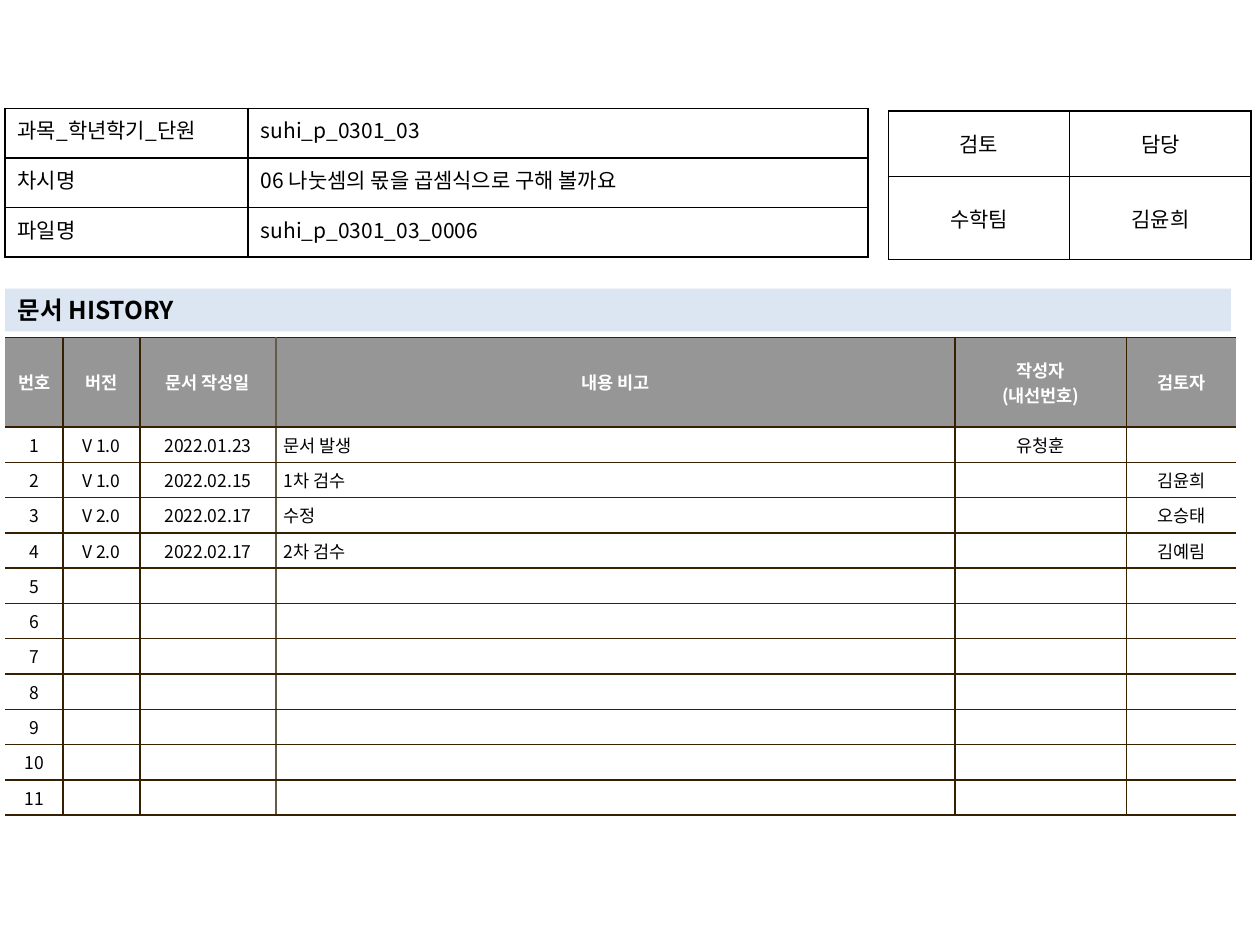
from dataclasses import dataclass

from lxml import etree
from pptx import Presentation
from pptx.dml.color import RGBColor
from pptx.enum.text import MSO_ANCHOR, MSO_AUTO_SIZE, PP_ALIGN
from pptx.oxml.ns import qn
from pptx.slide import Slide
from pptx.util import Inches, Pt

LEFT, CENTER, JUSTIFY = PP_ALIGN.LEFT, PP_ALIGN.CENTER, PP_ALIGN.JUSTIFY
TOP, MIDDLE = MSO_ANCHOR.TOP, MSO_ANCHOR.MIDDLE
NO_FIT = MSO_AUTO_SIZE.NONE

BLACK = RGBColor(0x00, 0x00, 0x00)
WHITE = RGBColor(0xFF, 0xFF, 0xFF)
GRAY = RGBColor(0x96, 0x96, 0x96)
PALE_BLUE = RGBColor(0xDC, 0xE6, 0xF2)
BROWN = RGBColor(0x36, 0x20, 0x00)
TAUPE = RGBColor(0x64, 0x5B, 0x4C)

SLIDE_WIDTH, SLIDE_HEIGHT = Inches(10), Inches(7.5)
GRID_COLUMNS, GRID_ROWS = 100, 75
TITLE_ONLY = 5

INFO = [
    ["과목_학년학기_단원", "suhi_p_0301_03"],
    ["차시명", "06 나눗셈의 몫을 곱셈식으로 구해 볼까요"],
    ["파일명", "suhi_p_0301_03_0006"],
]
APPROVAL = [["검토", "담당"], ["수학팀", "김윤희"]]
HISTORY_HEADER = ["번호", "버전", "문서 작성일", "내용 비고", "작성자\n(내선번호)", "검토자"]
HISTORY_ENTRIES = [
    ["V 1.0", "2022.01.23", "문서 발생", "유청훈", ""],
    ["V 1.0", "2022.02.15", "1차 검수", "", "김윤희"],
    ["V 2.0", "2022.02.17", "수정", "", "오승태"],
    ["V 2.0", "2022.02.17", "2차 검수", "", "김예림"],
]
HISTORY_LENGTH = 11


def set_attributes(target, values):
    """Set every attribute named in a dict of format values."""
    for name, value in values.items():
        setattr(target, name, value)


@dataclass
class Page:
    """Hold the style and the current slide, measured on a grid."""

    slide: Slide
    font: str = "Noto Sans CJK KR"

    def across(self, columns):
        """Turn grid columns into a length."""
        return round(SLIDE_WIDTH * columns / GRID_COLUMNS)

    def down(self, rows):
        """Turn grid rows into a length."""
        return round(SLIDE_HEIGHT * rows / GRID_ROWS)

    def fill_text(self, frame, text, size, color=BLACK, bold=False, align=LEFT):
        """Fill a text frame with formatted paragraphs."""
        frame.text = text
        for para in frame.paragraphs:
            para.alignment = align
            for span in para.runs:
                set_attributes(span.font, {"name": self.font, "size": Pt(size), "bold": bold})
                span.font.color.rgb = color
                etree.SubElement(span.font._element, qn("a:ea"), typeface=self.font)
            if not para.runs:
                etree.SubElement(para._p, qn("a:endParaRPr"), sz=str(size * 100))

    def title(self, text, left, top, width, height):
        """Place the slide title as a filled bar."""
        box = self.slide.shapes.title
        set_attributes(box, {
            "left": self.across(left), "top": self.down(top),
            "width": self.across(width), "height": self.down(height),
        })
        box.fill.solid()
        box.fill.fore_color.rgb = PALE_BLUE
        set_attributes(box.text_frame, {"auto_size": NO_FIT, "vertical_anchor": MIDDLE})
        self.fill_text(box.text_frame, text, 14, bold=True)

    def table(self, left, top, widths, heights):
        """Add a plain table with the given column widths and row heights."""
        frame = self.slide.shapes.add_table(
            len(heights), len(widths), self.across(left), self.down(top),
            self.across(sum(widths)), self.down(sum(heights)))
        table = frame.table
        set_attributes(table, {"first_row": False, "horz_banding": False})
        for column, width in zip(table.columns, widths):
            column.width = self.across(width)
        for row, height in zip(table.rows, heights):
            row.height = self.down(height)
        return table

    def cell(self, cell, text, borders, fill=None, margins=(0.1, 0.05), anchor=MIDDLE, **style):
        """Format one cell; borders run left, right, top, bottom."""
        side, edge = map(Inches, margins)
        set_attributes(cell, {
            "margin_left": side, "margin_right": side, "margin_top": edge,
            "margin_bottom": edge, "vertical_anchor": anchor,
        })
        self.fill_text(cell.text_frame, text, **style)
        properties = cell._tc.get_or_add_tcPr()
        for name, color in zip("LRTB", borders):
            line = etree.SubElement(properties, qn(f"a:ln{name}"), w=str(Pt(1)))
            if color is None:
                etree.SubElement(line, qn("a:noFill"))
            else:
                paint = etree.SubElement(line, qn("a:solidFill"))
                etree.SubElement(paint, qn("a:srgbClr"), val=str(color))
        if fill is None:
            cell.fill.background()
        else:
            cell.fill.solid()
            cell.fill.fore_color.rgb = fill

    def boxed_table(self, left, top, widths, heights, content, aligns, anchor):
        """Add a table with black borders on every side."""
        table = self.table(left, top, widths, heights)
        for row, texts in enumerate(content):
            for column, text in enumerate(texts):
                self.cell(table.cell(row, column), text, [BLACK] * 4,
                          anchor=anchor, size=12, align=aligns[column])

    def history_table(self, left, top, widths, header_height, row_height):
        """Add the numbered document history, open at its left and right."""
        table = self.table(left, top, widths, [header_height] + [row_height] * HISTORY_LENGTH)
        verticals = [None, BROWN, BROWN, TAUPE, BROWN, BROWN, None]
        blank = [""] * (len(widths) - 1)
        entries = HISTORY_ENTRIES + [blank] * (HISTORY_LENGTH - len(HISTORY_ENTRIES))
        numbered = [[str(number), *entry] for number, entry in enumerate(entries, 1)]
        header_style = {"fill": GRAY, "color": WHITE, "bold": True}
        note_column = HISTORY_HEADER.index("내용 비고")
        for row, texts in enumerate([HISTORY_HEADER] + numbered):
            style = {"fill": WHITE} if row else header_style
            for column, text in enumerate(texts):
                align = LEFT if row and column == note_column else CENTER
                borders = verticals[column:column + 2] + [BROWN, BROWN]
                self.cell(table.cell(row, column), text, borders,
                          margins=(0.06, 0.04), size=10, align=align, **style)


def main():
    """Build the document history slide."""
    deck = Presentation()
    set_attributes(deck, {"slide_width": SLIDE_WIDTH, "slide_height": SLIDE_HEIGHT})
    page = Page(deck.slides.add_slide(deck.slide_layouts[TITLE_ONLY]))
    page.history_table(0.4, 26.8, [4.6, 6.1, 10.8, 53.9, 13.6, 8.7], 7.1, 2.8)
    page.boxed_table(70.5, 8.8, [14.4, 14.4], [5.2, 6.6], APPROVAL, [CENTER, CENTER], MIDDLE)
    page.title("문서 HISTORY", 0.4, 22.9, 97.3, 3.4)
    page.boxed_table(0.4, 8.6, [19.3, 49.2], [3.93] * 3, INFO, [JUSTIFY, LEFT], TOP)
    deck.save("out.pptx")


if __name__ == "__main__":
    main()
